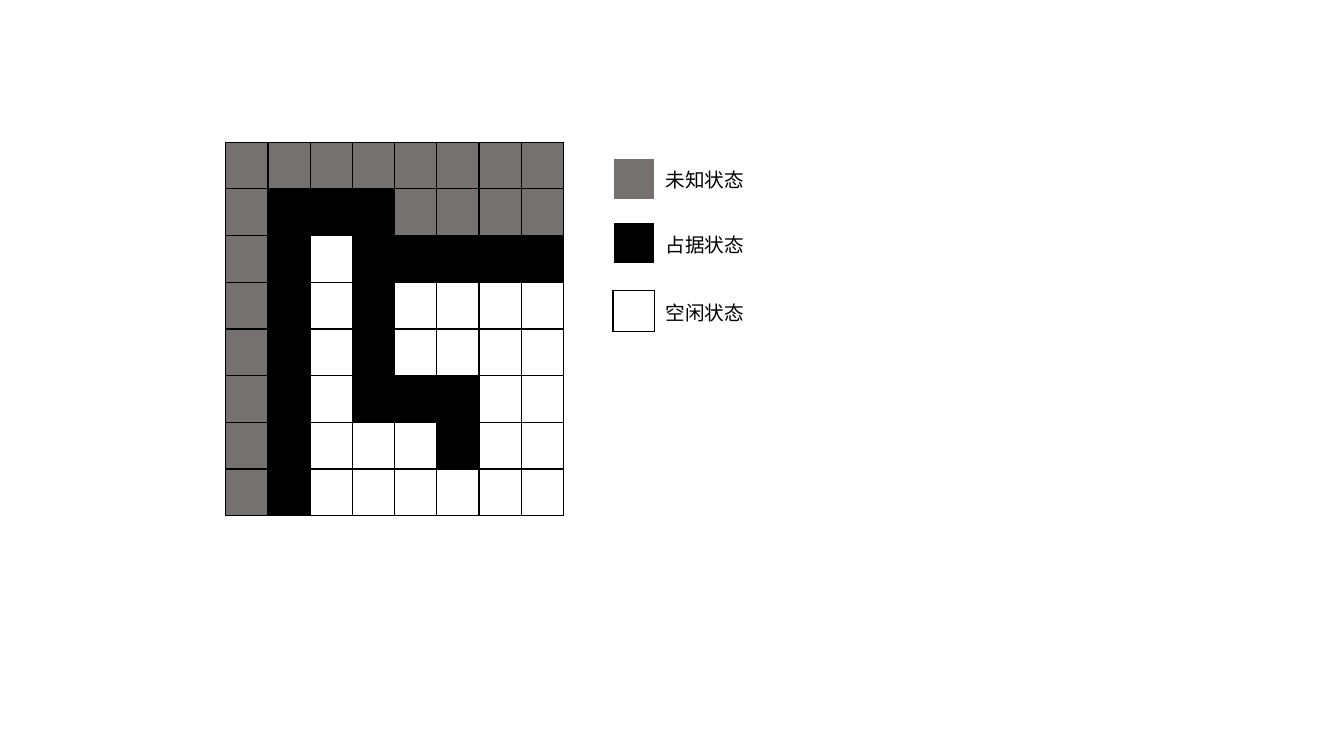
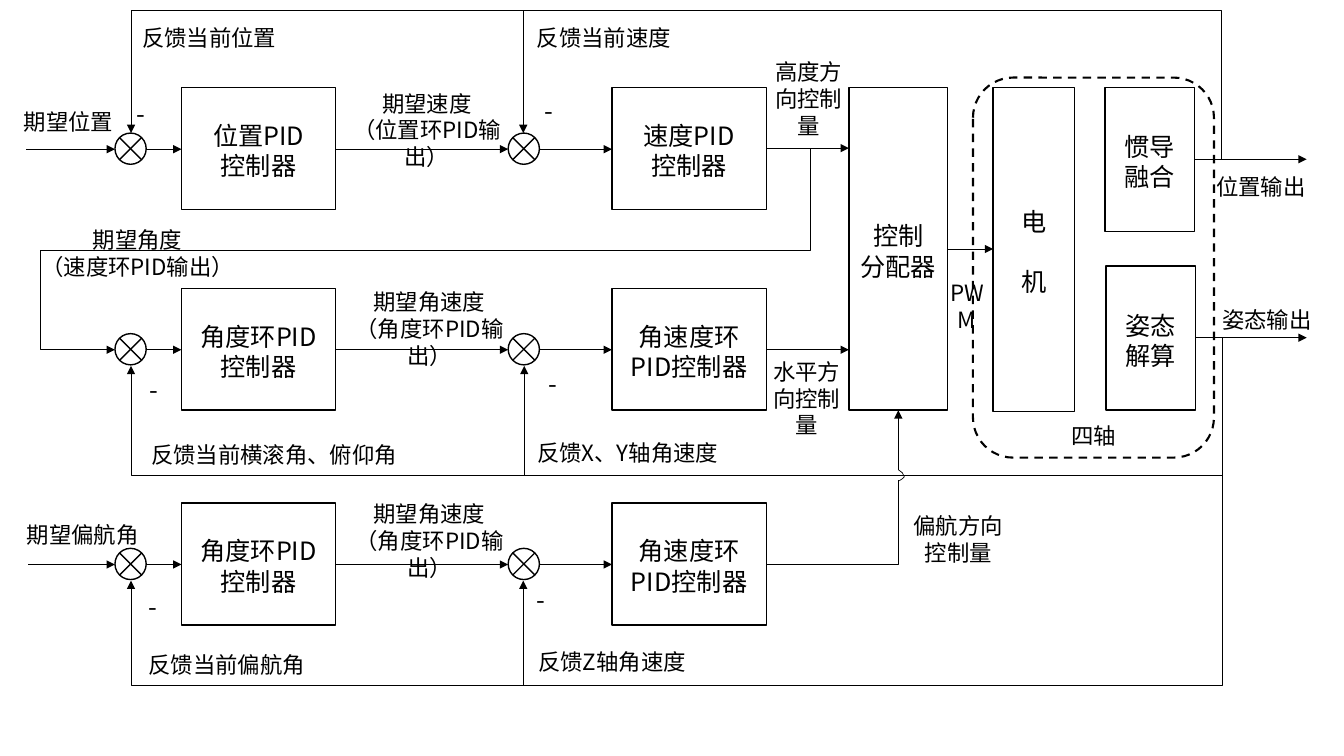
from dataclasses import dataclass

from pptx import Presentation
from pptx.dml.color import RGBColor
from pptx.enum.dml import MSO_LINE
from pptx.enum.shapes import MSO_CONNECTOR, MSO_SHAPE
from pptx.enum.text import MSO_ANCHOR, MSO_AUTO_SIZE, PP_ALIGN
from pptx.oxml import parse_xml
from pptx.oxml.ns import nsdecls, qn
from pptx.util import Emu, Pt


@dataclass(frozen=True)
class Theme:
    black: str = "000000"
    white: str = "FFFFFF"
    gray: str = "767171"
    font: str = "Noto Sans CJK SC"
    legend_size: int = 14
    label_size: int = 16
    block_size: int = 18
    line_height: float = 1.2
    outline: float = 1
    frame_outline: float = 1.5
    wire: float = 0.5


THEME = Theme()
EMU_PER_PX = 9144  # 100 px to the inch

# Content: occupancy grid (U unknown, O occupied, F free)
STATE_FILLS = {"U": THEME.gray, "O": THEME.black, "F": THEME.white}
GRID_ROWS = ["UUUUUUUU", "UOOOUUUU", "UOFOOOOO", "UOFOFFFF",
             "UOFOFFFF", "UOFOOOFF", "UOFFFOFF", "UOFFFFFF"]
GRID_BOX = (224, 141, 335, 371)
# state, border colour, swatch top, label top, label
LEGEND = [
    ("U", THEME.white, 157, 160, "未知状态"),
    ("O", THEME.white, 221, 224, "占据状态"),
    ("F", THEME.black, 288, 292, "空闲状态"),
]
SWATCH_LEFT, SWATCH_SIZE = 608, 41

# Content: control loops (centre line, outer controller, inner controller)
LOOPS = [
    (148, "位置PID\n控制器", "速度PID\n控制器"),
    (347, "角度环PID控制器", "角速度环PID控制器"),
    (560, "角度环PID控制器", "角速度环PID控制器"),
]
BLOCK_WIDTH, BLOCK_HEIGHT = 153, 121
BLOCK_LEFTS = (180, 607)
JUNCTION_LEFTS = (114, 504)
JUNCTION_SIZE = 31
DRONE_FRAME = (965, 77, 239, 377)
# box, text, gap before each later paragraph in lines
PLANT_BLOCKS = [
    ((842, 87, 98, 320), "控制\n分配器", 0),
    ((985, 87, 81, 321), "电\n机", 1),
    ((1096, 87, 89, 143), "惯导融合", 0),
    ((1097, 264, 89, 143), "姿态解算", 0),
]
MINUS_SIZE = (27, 25)
MINUS_SIGNS = [(126, 98), (530, 95), (138, 372), (534, 366), (137, 587), (522, 580)]
# left, top, width, text
LABELS = [
    (11, 100, 114, "期望位置"),
    (325, 82, 197, "期望速度\n（位置环PID输出）"),
    (109, 17, 197, "反馈当前位置"),
    (504, 17, 190, "反馈当前速度"),
    (750, 51, 104, "高度方向控制量"),
    (26, 217, 221, "期望角度\n（速度环PID输出）"),
    (330, 279, 192, "期望角速度\n（角度环PID输出）"),
    (755, 348, 90, "水平方向控制量"),
    (126, 431, 292, "反馈当前横滚角、俯仰角"),
    (496, 429, 253, "反馈X、Y轴角速度"),
    (11, 510, 142, "期望偏航角"),
    (330, 489, 192, "期望角速度\n（角度环PID输出）"),
    (891, 501, 119, "偏航方向\n控制量"),
    (117, 639, 216, "反馈当前偏航角"),
    (489, 636, 236, "反馈Z轴角速度"),
    (930, 270, 58, "PWM"),
    (1008, 412, 153, "四轴"),
    (1196, 165, 109, "位置输出"),
    (1202, 297, 109, "姿态输出"),
]
# start, end
ARROWS = [
    ((26, 148), (114, 148)),
    ((28, 560), (114, 560)),
    ((760, 147), (842, 147)),
    ((760, 347), (842, 347)),
    ((940, 247), (985, 247)),
    ((1185, 158), (1296, 158)),
    ((1186, 335), (1296, 335)),
    ((519, 10), (519, 132)),
    ((520, 472), (520, 363)),
    ((519, 680), (519, 576)),
    ((891, 466), (891, 407)),
]
# start, end, bends as alternating x and y, arrowhead
ELBOWS = [
    ((1185, 158), (130, 132), (1211, 10), True),
    ((1186, 335), (130, 363), (1212, 472), True),
    ((1186, 335), (130, 576), (1212, 680), True),
    ((760, 147), (114, 347), (804, 248, 40), True),
    ((760, 560), (892, 477), (891,), False),
]
LINE_HOP = [(891, 466), (895, 469), (897, 473), (895, 475), (892, 477)]


def px(*lengths):
    return [Emu(round(length * EMU_PER_PX)) for length in lengths]


def color(value):
    return RGBColor.from_string(value)


def set_line(line, width, line_color=THEME.black):
    line.color.rgb = color(line_color)
    line.width = Pt(width)


def write_text(shape, text, size, anchor=MSO_ANCHOR.MIDDLE, gap_lines=0):
    frame = shape.text_frame
    top, bottom = px(7, 3)
    frame_format = {"word_wrap": True, "vertical_anchor": anchor,
                    "margin_top": top, "margin_bottom": bottom}
    for name, value in frame_format.items():
        setattr(frame, name, value)
    line_height = size * THEME.line_height
    for index, line in enumerate(text.split("\n")):
        paragraph = frame.add_paragraph() if index else frame.paragraphs[0]
        paragraph.alignment = PP_ALIGN.CENTER
        paragraph.line_spacing = Pt(line_height)
        if index and gap_lines:
            paragraph.space_before = Pt(line_height * gap_lines)
        run = paragraph.add_run()
        run.text = line
        for name, value in {"name": THEME.font, "size": Pt(size)}.items():
            setattr(run.font, name, value)
        run.font.color.rgb = color(THEME.black)
        run.font._element.append(parse_xml(
            f'<a:ea {nsdecls("a")} typeface="{THEME.font}"/>'))


def add_box(slide, kind, box, text="", line_color=THEME.black, gap_lines=0):
    shape = slide.shapes.add_shape(kind, *px(*box))
    shape.shadow.inherit = False
    shape.fill.solid()
    shape.fill.fore_color.rgb = color(THEME.white)
    set_line(shape.line, THEME.outline, line_color)
    if text:
        write_text(shape, text, THEME.block_size, gap_lines=gap_lines)
    return shape


def add_label(slide, left, top, width, text, size):
    height = 10 + (text.count("\n") + 1) * 27
    shape = slide.shapes.add_textbox(*px(left, top, width, height))
    write_text(shape, text, size, MSO_ANCHOR.TOP)
    shape.text_frame.auto_size = MSO_AUTO_SIZE.SHAPE_TO_FIT_TEXT


def add_wire(slide, start, end, bends=(), arrow=True):
    kind = MSO_CONNECTOR.ELBOW if bends else MSO_CONNECTOR.STRAIGHT
    connector = slide.shapes.add_connector(kind, *px(*start, *end))
    set_line(connector.line, THEME.wire)
    properties = connector._element.spPr
    if bends:
        # Each bend is a share of the distance along its own axis
        geometry = properties.find(qn("a:prstGeom"))
        geometry.set("prst", f"bentConnector{len(bends) + 2}")
        guides = geometry.find(qn("a:avLst"))
        for index, bend in enumerate(bends):
            axis = index % 2
            share = (bend - start[axis]) / (end[axis] - start[axis])
            guides.append(parse_xml(
                f'<a:gd {nsdecls("a")} name="adj{index + 1}" '
                f'fmla="val {round(share * 100000)}"/>'))
    if arrow:
        properties.find(qn("a:ln")).append(parse_xml(
            f'<a:tailEnd {nsdecls("a")} type="triangle"/>'))
    properties.append(parse_xml(f'<a:effectLst {nsdecls("a")}/>'))


def add_state_table(slide, box, rows, border):
    left, top, width, height = px(*box)
    table = slide.shapes.add_table(
        len(rows), len(rows[0]), left, top, width, height).table
    table.first_row = table.horz_banding = False
    for row_index, row in enumerate(rows):
        for column_index, state in enumerate(row):
            cell = table.cell(row_index, column_index)
            properties = cell._tc.get_or_add_tcPr()
            for side in "LRTB":
                properties.append(parse_xml(
                    f'<a:ln{side} {nsdecls("a")} w="{Pt(THEME.outline)}">'
                    f'<a:solidFill><a:srgbClr val="{border}"/></a:solidFill>'
                    f'</a:ln{side}>'))
            cell.fill.solid()
            cell.fill.fore_color.rgb = color(STATE_FILLS[state])


def build_grid_slide(slide):
    add_state_table(slide, GRID_BOX, GRID_ROWS, THEME.black)
    for state, border, swatch_top, label_top, text in LEGEND:
        add_label(slide, 629, label_top, 140, text, THEME.legend_size)
        swatch = (SWATCH_LEFT, swatch_top, SWATCH_SIZE, SWATCH_SIZE)
        add_state_table(slide, swatch, [state], border)


def build_control_slide(slide):
    # Quadrotor frame and plant blocks
    frame = add_box(slide, MSO_SHAPE.ROUNDED_RECTANGLE, DRONE_FRAME)
    set_line(frame.line, THEME.frame_outline)
    frame.line.dash_style = MSO_LINE.DASH
    for box, text, gap_lines in PLANT_BLOCKS:
        add_box(slide, MSO_SHAPE.RECTANGLE, box, text, gap_lines=gap_lines)
    for position in MINUS_SIGNS:
        add_box(slide, MSO_SHAPE.RECTANGLE, (*position, *MINUS_SIZE), "-", THEME.white)

    # Cascaded loops: junction, outer block, junction, inner block
    for center, *controllers in LOOPS:
        for left, text in zip(BLOCK_LEFTS, controllers):
            box = (left, center - BLOCK_HEIGHT // 2 - 1, BLOCK_WIDTH, BLOCK_HEIGHT)
            add_box(slide, MSO_SHAPE.RECTANGLE, box, text)
        for left, block_left in zip(JUNCTION_LEFTS, BLOCK_LEFTS):
            box = (left, center - JUNCTION_SIZE // 2 - 1, JUNCTION_SIZE, JUNCTION_SIZE)
            add_box(slide, MSO_SHAPE.FLOWCHART_SUMMING_JUNCTION, box)
            add_wire(slide, (left + JUNCTION_SIZE, center), (block_left, center))
        add_wire(slide, (BLOCK_LEFTS[0] + BLOCK_WIDTH, center), (JUNCTION_LEFTS[1], center))

    # Signal lines, feedback lines and the hop over the feedback line
    for start, end in ARROWS:
        add_wire(slide, start, end)
    for elbow in ELBOWS:
        add_wire(slide, *elbow)
    builder = slide.shapes.build_freeform(*LINE_HOP[0], scale=EMU_PER_PX)
    builder.add_line_segments(LINE_HOP[1:], close=False)
    hop = builder.convert_to_shape()
    hop.shadow.inherit = False
    hop.fill.background()
    set_line(hop.line, THEME.wire)

    for label in LABELS:
        add_label(slide, *label, THEME.label_size)


def main():
    presentation = Presentation()
    presentation.slide_width, presentation.slide_height = px(1333, 750)
    blank_layout = presentation.slide_layouts[6]
    for build in (build_grid_slide, build_control_slide):
        build(presentation.slides.add_slide(blank_layout))
    presentation.save("out.pptx")


if __name__ == "__main__":
    main()
